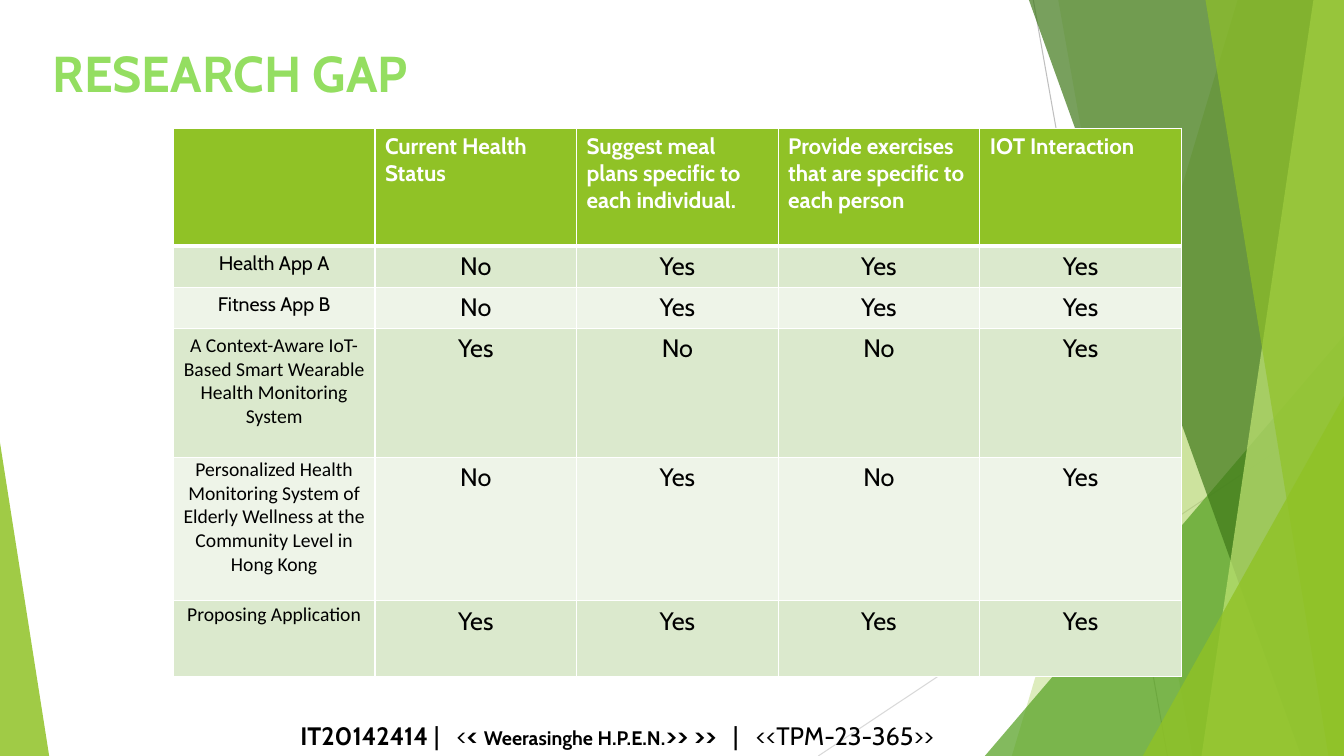
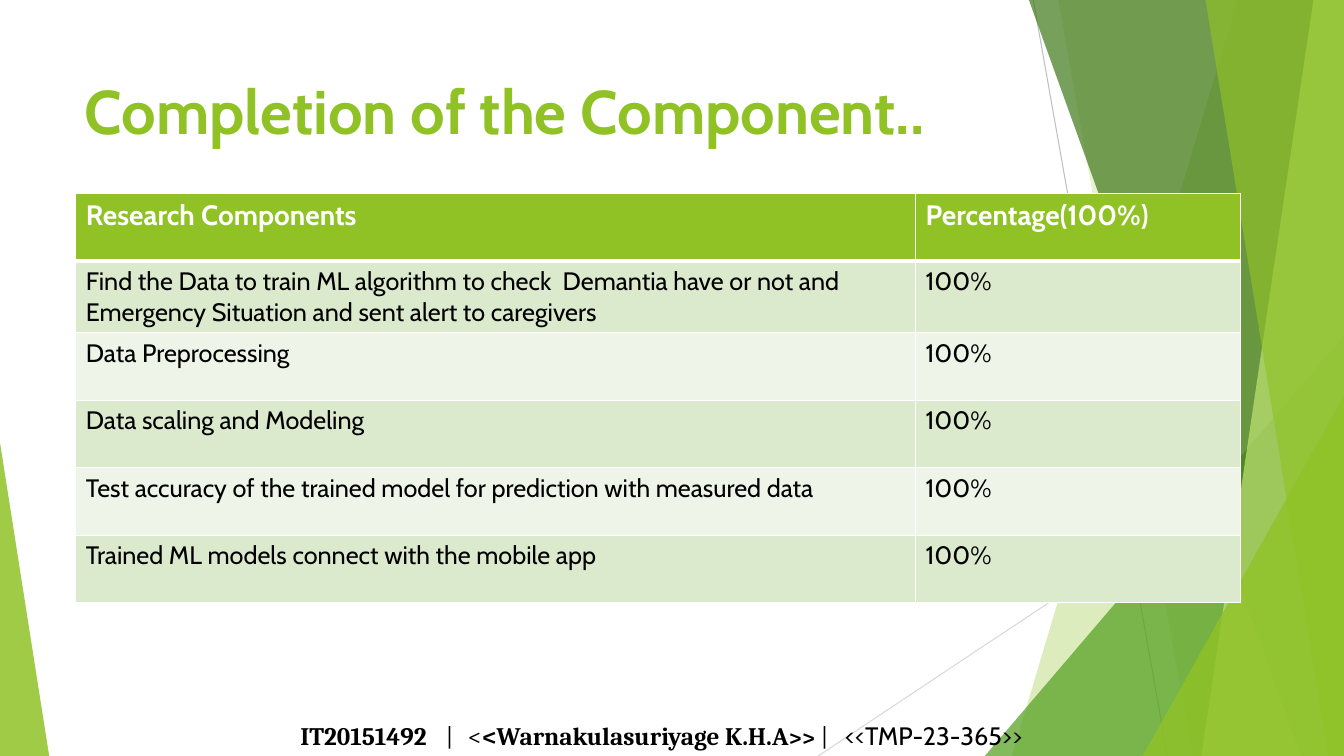
from pptx import Presentation as Deck
from pptx.dml.color import RGBColor as Rgb
from pptx.enum.shapes import MSO_CONNECTOR as Link, MSO_SHAPE as Form
from pptx.enum.text import MSO_ANCHOR as Anchor, MSO_AUTO_SIZE as Fit, PP_ALIGN as Align
from pptx.oxml.ns import qn
from pptx.util import Cm, Pt
from lxml.etree import SubElement as Sub

LIME = Rgb(0x90, 0xC2, 0x26)
LEAF = Rgb(0x54, 0xA0, 0x21)
MOSS = Rgb(0x3F, 0x78, 0x19)
PALE = Rgb(0xC0, 0xE4, 0x74)
MINT = Rgb(0x94, 0xDE, 0x61)
DARK = Rgb(0xDB, 0xE9, 0xCD)
LIGHT = Rgb(0xEE, 0xF4, 0xE8)
SILVER = Rgb(0xBF, 0xBF, 0xBF)
MIST = Rgb(0xD9, 0xD9, 0xD9)
WHITE = Rgb(0xFF, 0xFF, 0xFF)
BLACK = Rgb(0, 0, 0)

WIDE, HIGH = 33.87, 19.05
SANS, PLAIN, SERIF = "Cabin", "Calibri", "Cambria"


def write(para, text, size, font=SANS, bold=False, color=BLACK):
    run = para.add_run()
    run.text = text
    run.font.size = Pt(size)
    run.font.name = font
    run.font.bold = bold
    run.font.color.rgb = color


def paint(shape, color, alpha):
    shape.shadow.inherit = False
    shape.fill.solid()
    shape.fill.fore_color.rgb = color
    shape.line.fill.background()
    tint = shape.element.spPr.find(qn("a:solidFill")).find(qn("a:srgbClr"))
    Sub(tint, qn("a:alpha")).set("val", str(alpha * 1000))
    return shape


def streak(slide, start, end, color):
    line = slide.shapes.add_connector(Link.STRAIGHT, *map(Cm, start + end))
    line.line.color.rgb = color
    line.line.width = Pt(0.75)
    Sub(line.element.spPr, qn("a:effectLst"))
    return line


def blade(slide, top, base, color, alpha):
    points = [(WIDE, 0), (WIDE, HIGH), (base, HIGH)]
    path = slide.shapes.build_freeform(Cm(top), 0)
    path.add_line_segments([(Cm(x), Cm(y)) for x, y in points])
    return paint(path.convert_to_shape(), color, alpha)


def wedge(slide, left, width, height, peak, color, alpha):
    box = map(Cm, (left, HIGH - height, width, height))
    shape = slide.shapes.add_shape(Form.ISOSCELES_TRIANGLE, *box)
    shape.adjustments[0] = peak
    return paint(shape, color, alpha)


def adorn(slide):
    parts = [
        streak(slide, (26.04, 0), (29.42, HIGH), SILVER),
        streak(slide, (WIDE, 10.24), (20.62, HIGH), MIST),
        blade(slide, 31.19, 25.5, LIME, 30),
        blade(slide, 26.67, 30.05, LIME, 20),
        wedge(slide, WIDE - 9.05, 9.05, 10.59, 1, LEAF, 72),
        blade(slide, 25.93, 32.79, MOSS, 70),
        blade(slide, 33.1, 30.28, PALE, 70),
        blade(slide, 30.38, 33.48, LIME, 65),
        wedge(slide, WIDE - 5.07, 5.07, 9.07, 1, LIME, 80),
        wedge(slide, 0, 1.24, 7.9, 0, LIME, 85),
    ]
    tree = slide.slide_layout.shapes.element
    for spot, part in enumerate(parts, 2):
        tree.insert(spot, part.element)


def head(slide, text, left, top, size, color, anchor):
    title = slide.shapes.title
    title.left, title.top = Cm(left), Cm(top)
    title.width, title.height = Cm(23.88), Cm(3.66)
    frame = title.text_frame
    frame.auto_size = Fit.NONE
    frame.word_wrap = True
    frame.vertical_anchor = anchor
    para = frame.paragraphs[0]
    para.alignment = Align.LEFT
    write(para, text, size, bold=True, color=color)


def foot(slide, width, stops, runs):
    box = slide.shapes.add_textbox(Cm(7.32), Cm(18.03), Cm(width), Cm(1.02))
    frame = box.text_frame
    frame.word_wrap = True
    frame.vertical_anchor = Anchor.MIDDLE
    para = frame.paragraphs[0]
    tabs = Sub(para._p.get_or_add_pPr(), qn("a:tabLst"))
    for stop in stops:
        tab = Sub(tabs, qn("a:tab"))
        tab.set("pos", str(Cm(stop)))
        tab.set("algn", "l")
    for run in runs:
        write(para, *run)


def edge(cell, row):
    props = cell._tc.get_or_add_tcPr()
    for side in "LRTB":
        thick = (row, side) in ((0, "B"), (1, "T"))
        line = Sub(props, qn("a:ln" + side), w=str(Pt(3 if thick else 1)))
        fill = Sub(line, qn("a:solidFill"))
        Sub(fill, qn("a:srgbClr"), val=str(WHITE))


def grid(slide, left, top, cols, tall, data, style):
    box = map(Cm, (left, top, sum(cols), sum(tall)))
    table = slide.shapes.add_table(len(tall), len(cols), *box).table
    table.horz_banding = False
    for col, width in zip(table.columns, cols):
        col.width = Cm(width)
    for row, height in zip(table.rows, tall):
        row.height = Cm(height)
    for r, words in enumerate(data):
        for c, text in enumerate(words):
            cell = table.cell(r, c)
            edge(cell, r)
            cell.fill.solid()
            cell.fill.fore_color.rgb = (DARK if r % 2 else LIGHT) if r else LIME
            size, font, align = style(r, c)
            para = cell.text_frame.paragraphs[0]
            para.alignment = align
            if text:
                write(para, text, size, font, r == 0, BLACK if r else WHITE)
    return table


def rate(r, c):
    if r == 0:
        return 16, SANS, Align.LEFT
    if c == 0:
        return 14, PLAIN if r > 2 else SANS, Align.CENTER
    return 18, SANS, Align.CENTER


def score(r, c):
    return 18 if r else 20, SANS, Align.LEFT


def gap(slide):
    head(slide, "RESEARCH GAP", 1.07, 0, 36, MINT, Anchor.MIDDLE)
    foot(slide, 18.92, (3.94, 10.9, 11.48), [
        ("IT20142414", 18, SANS, True),
        (" |\t<", 18),
        ("< ", 18, SANS, True),
        ("Weerasinghe H.P.E.N.", 14, SANS, True),
        (">> >>", 18, SANS, True),
        ("\t|\t<<TPM-23-365>>", 18),
    ])
    data = [
        ("", "Current Health Status",
         "Suggest meal plans specific to each individual.",
         "Provide exercises that are specific to each person",
         "IOT Interaction"),
        ("Health App A", "No", "Yes", "Yes", "Yes"),
        ("Fitness App B", "No", "Yes", "Yes", "Yes"),
        ("A Context-Aware IoT-Based Smart Wearable Health Monitoring System",
         "Yes", "No", "No", "Yes"),
        ("Personalized Health Monitoring System of Elderly Wellness"
         " at the Community Level in Hong Kong",
         "No", "Yes", "No", "Yes"),
        ("Proposing Application", "Yes", "Yes", "Yes", "Yes"),
    ]
    tall = (2.97, 1.04, 1.04, 3.25, 3.61, 1.91)
    table = grid(slide, 4.37, 3.23, [5.08] * 5, tall, data, rate)
    for r in (4, 5):
        cell = table.cell(r, 0)
        cell.margin_left = cell.margin_right = Cm(0.18)
        cell.margin_top = cell.margin_bottom = 0
    table.cell(5, 0).text_frame.paragraphs[0].line_spacing = 1.07


def done(slide):
    head(slide, "Completion of the Component..", 1.88, 1.7, 44, LIME, Anchor.TOP)
    tasks = (
        "Find the Data to train ML algorithm to check  Demantia have or not"
        " and Emergency Situation and sent alert to caregivers",
        "Data Preprocessing",
        "Data scaling and Modeling",
        "Test accuracy of the trained model for prediction with measured data",
        "Trained ML models connect with the mobile app",
    )
    data = [("Research Components", "Percentage(100%)")]
    data += [(task, "100%") for task in tasks]
    tall = (1.7, 1.8, 1.7, 1.7, 1.7, 1.7)
    grid(slide, 1.91, 4.88, (21.16, 8.2), tall, data, score)
    foot(slide, 20.62, (3.66, 4.22, 13.72), [
        ("IT20151492", 18, SERIF, True),
        ("\t|\t<", 18, SERIF),
        ("<Warnakulasuriyage K.H.A", 18, SERIF, True),
        (">>", 16, SERIF, True),
        (" ", 18, SERIF, True),
        ("|\t", 18, SERIF),
        ("<<TMP-23-365>>", 18),
    ])


def main():
    deck = Deck()
    deck.slide_width, deck.slide_height = Cm(WIDE), Cm(HIGH)
    first, second = [deck.slides.add_slide(deck.slide_layouts[5]) for _ in range(2)]
    adorn(first)
    gap(first)
    done(second)
    deck.save("out.pptx")


if __name__ == "__main__":
    main()
